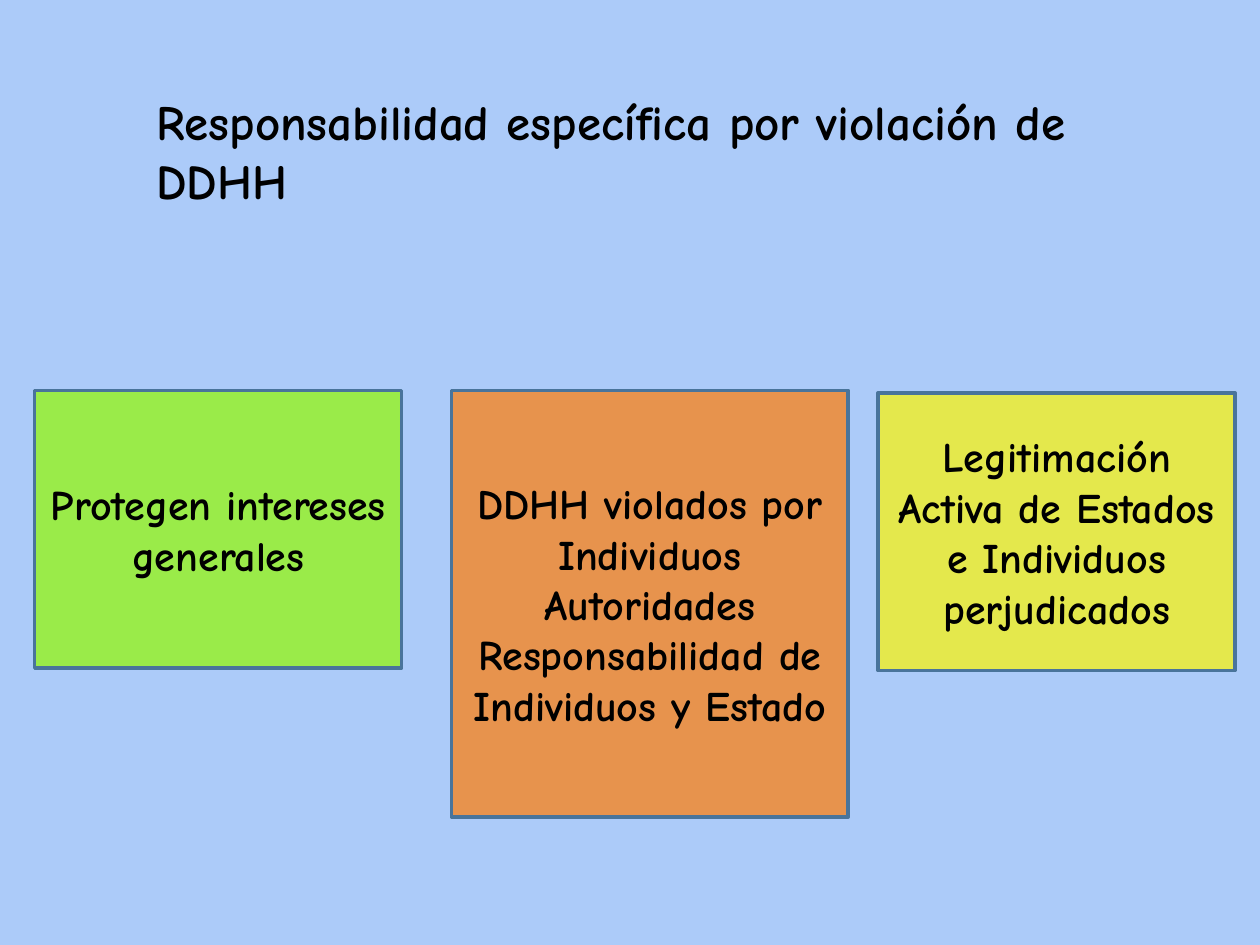
import pptx
import pptx.util
import pptx.dml.color
import pptx.enum.shapes
import pptx.enum.text
from dataclasses import dataclass

Cm = pptx.util.Cm
Pt = pptx.util.Pt
Rgb = pptx.dml.color.RGBColor.from_string
Align = pptx.enum.text.PP_ALIGN
Anchor = pptx.enum.text.MSO_ANCHOR


@dataclass(frozen=True)
class Theme:
    back: str = "ACCBF9"
    ink: str = "000000"
    edge: str = "49749B"
    green: str = "9AEB49"
    orange: str = "E7934D"
    yellow: str = "E4E84C"
    font: str = "Comic Neue"
    title: int = 28
    body: int = 24
    line: int = 2


class Deck:
    def __init__(self, theme):
        self.theme = theme
        self.file = pptx.Presentation()
        self.file.slide_width = Cm(25.4)
        self.file.slide_height = Cm(19.05)
        self.slide = self.file.slides.add_slide(self.file.slide_layouts[6])
        self.paint(self.slide.background.fill, theme.back)

    def paint(self, fill, color):
        fill.solid()
        fill.fore_color.rgb = Rgb(color)

    def style(self, item, values):
        for name, value in values.items():
            setattr(item, name, value)

    def label(self, frame, lines, size, align, anchor):
        self.style(frame, {"word_wrap": True, "vertical_anchor": anchor})
        frame.text = "\n".join(lines)
        values = {"name": self.theme.font, "size": Pt(size), "bold": True}
        for para in frame.paragraphs:
            para.alignment = align
            for run in para.runs:
                self.style(run.font, values)
                run.font.color.rgb = Rgb(self.theme.ink)

    def title(self, text, area):
        box = self.slide.shapes.add_textbox(*map(Cm, area))
        self.label(box.text_frame, [text], self.theme.title, Align.LEFT, Anchor.TOP)

    def panel(self, lines, area, color):
        kind = pptx.enum.shapes.MSO_SHAPE.RECTANGLE
        box = self.slide.shapes.add_shape(kind, *map(Cm, area))
        box.shadow.inherit = False
        self.paint(box.fill, color)
        self.paint(box.line.fill, self.theme.edge)
        box.line.width = Pt(self.theme.line)
        self.label(box.text_frame, lines, self.theme.body, Align.CENTER, Anchor.MIDDLE)


def main():
    theme = Theme()
    deck = Deck(theme)
    deck.title("Responsabilidad específica por violación de DDHH", (2.9, 1.73, 19.8, 5.05))
    panels = [
        (["Protegen intereses generales"], (0.7, 7.87, 7.4, 5.6), theme.green),
        (
            [
                "DDHH violados por",
                "Individuos",
                "Autoridades",
                "Responsabilidad de Individuos y Estado",
            ],
            (9.1, 7.87, 8, 8.6),
            theme.orange,
        ),
        (
            ["Legitimación Activa de Estados e Individuos perjudicados"],
            (17.7, 7.92, 7.2, 5.6),
            theme.yellow,
        ),
    ]
    for panel in panels:
        deck.panel(*panel)
    deck.file.save("out.pptx")


if __name__ == "__main__":
    main()
